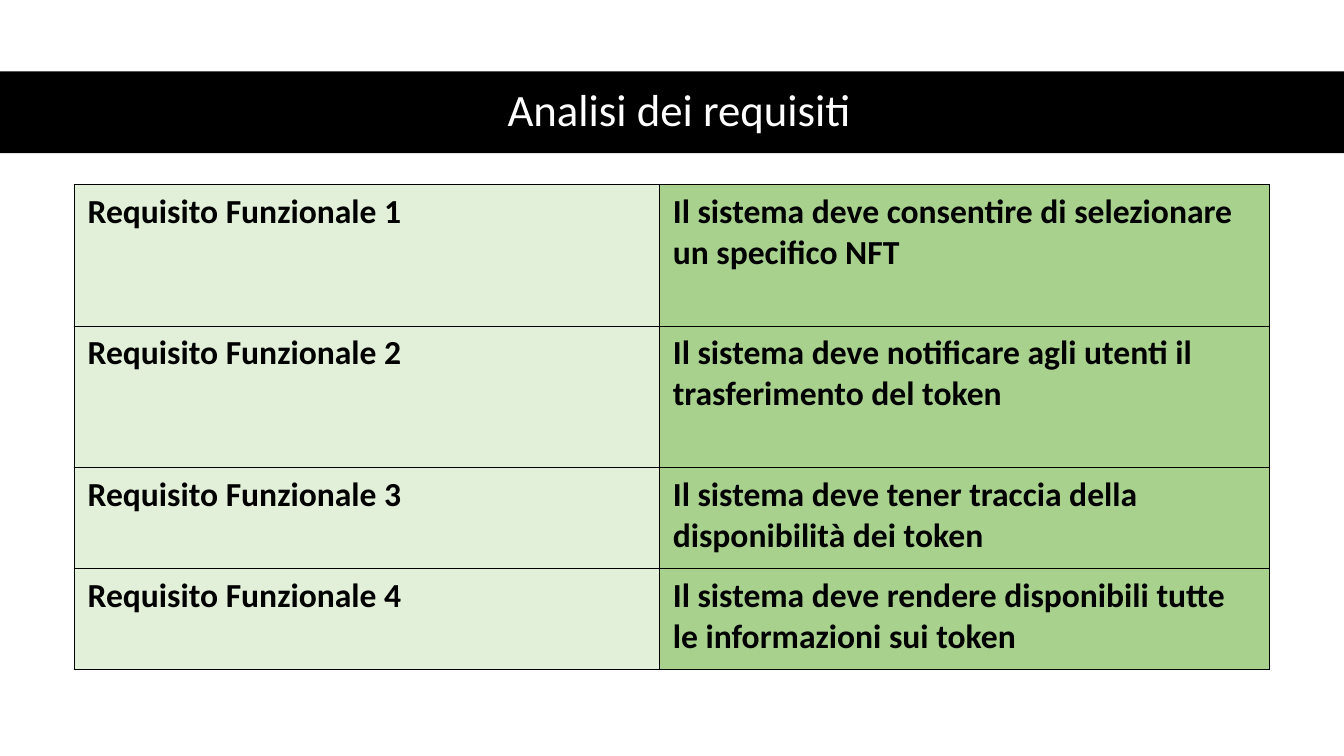
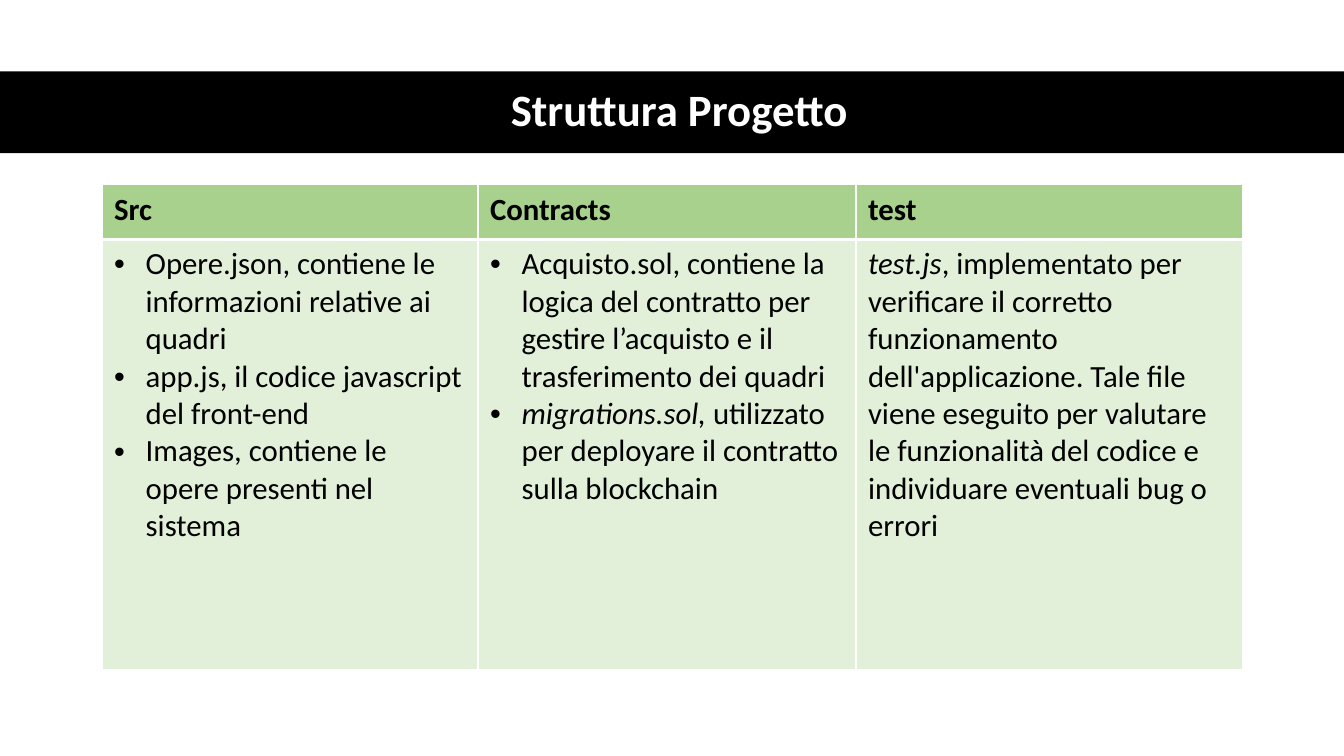
import pptx
import pptx.dml.color
import pptx.enum.shapes
import pptx.enum.text
import pptx.util
from lxml import etree

Pt = pptx.util.Pt
RGBColor = pptx.dml.color.RGBColor
Align = pptx.enum.text.PP_ALIGN

BLACK = RGBColor(0x00, 0x00, 0x00)
WHITE = RGBColor(0xFF, 0xFF, 0xFF)
PALE_GREEN = RGBColor(0xE2, 0xF0, 0xD9)
GREEN = RGBColor(0xA9, 0xD1, 0x8E)

FONT = "Calibri"
SLIDE_WIDTH, SLIDE_HEIGHT = 960, 540
BAND_TOP, BAND_HEIGHT = 51, 58.5
TABLE_TOP = 132
BULLET_INDENT = 22.5
TITLE_ONLY_LAYOUT = 5

REQUIREMENTS = [
    "Il sistema deve consentire di selezionare un specifico NFT",
    "Il sistema deve notificare agli utenti il trasferimento del token",
    "Il sistema deve tener traccia della disponibilità dei token",
    "Il sistema deve rendere disponibili tutte le informazioni sui token",
]

# Each folder has a heading, a bullet flag and paragraphs of (italic, regular) text.
FOLDERS = [
    ("Src", True, [
        ("", "Opere.json, contiene le informazioni relative ai quadri"),
        ("", "app.js, il codice javascript del front-end"),
        ("", "Images, contiene le opere presenti nel sistema"),
    ]),
    ("Contracts", True, [
        ("", "Acquisto.sol, contiene la logica del contratto per gestire "
             "l’acquisto e il trasferimento dei quadri"),
        ("migrations.sol, ", "utilizzato per deployare il contratto sulla blockchain"),
    ]),
    ("test", False, [
        ("test.js", ", implementato per verificare il corretto funzionamento "
                    "dell'applicazione. Tale file viene eseguito per valutare le "
                    "funzionalità del codice e individuare eventuali bug o errori"),
    ]),
]


def add_bullet(paragraph):
    properties = paragraph._p.get_or_add_pPr()
    properties.set("marL", str(Pt(BULLET_INDENT)))
    properties.set("indent", str(-Pt(BULLET_INDENT)))
    for tag, name, value in (("a:buFont", "typeface", "Arial"), ("a:buChar", "char", "•")):
        etree.SubElement(properties, pptx.oxml.ns.qn(tag)).set(name, value)


def write(frame, paragraphs, size, color=BLACK, bold=False, align=Align.LEFT,
          spacing=1.0, bullets=False):
    """Fill a text frame with paragraphs given as (italic, regular) text."""
    frame.word_wrap = True
    for index, parts in enumerate(paragraphs):
        paragraph = frame.add_paragraph() if index else frame.paragraphs[0]
        paragraph.alignment = align
        paragraph.line_spacing = spacing
        if bullets:
            add_bullet(paragraph)
        for text, italic in zip(parts, (True, False)):
            if text:
                run = paragraph.add_run()
                run.text = text
                run.font.name = FONT
                run.font.size = Pt(size)
                run.font.bold = bold
                run.font.italic = italic
                run.font.color.rgb = color


def set_borders(cell, color, **widths):
    """Draw the sides L, R, T and B, 1 pt wide unless a width is given."""
    properties = cell._tc.get_or_add_tcPr()
    for side in "LRTB":
        line = etree.SubElement(properties, pptx.oxml.ns.qn(f"a:ln{side}"))
        line.set("w", str(Pt(widths.get(side, 1))))
        fill = etree.SubElement(line, pptx.oxml.ns.qn("a:solidFill"))
        etree.SubElement(fill, pptx.oxml.ns.qn("a:srgbClr")).set("val", str(color))


def style_cell(cell, fill, border, inset, **widths):
    set_borders(cell, border, **widths)
    cell.fill.solid()
    cell.fill.fore_color.rgb = fill
    cell.margin_left = cell.margin_right = Pt(inset)
    cell.margin_top = cell.margin_bottom = Pt(inset / 2)


def add_grid(slide, left, top, widths, heights):
    frame = slide.shapes.add_table(len(heights), len(widths), Pt(left), Pt(top),
                                   Pt(sum(widths)), Pt(sum(heights)))
    grid = frame.table
    grid.first_row = grid.horz_banding = False
    for column, width in zip(grid.columns, widths):
        column.width = Pt(width)
    for row, height in zip(grid.rows, heights):
        row.height = Pt(height)
    return grid


def add_titled_slide(deck, heading, bold=False):
    slide = deck.slides.add_slide(deck.slide_layouts[TITLE_ONLY_LAYOUT])
    title = slide.shapes.title
    title.left, title.top = Pt(44), Pt(BAND_TOP - 0.5)
    title.width, title.height = Pt(882.5), Pt(BAND_HEIGHT)
    title.text_frame.auto_size = pptx.enum.text.MSO_AUTO_SIZE.NONE
    title.text_frame.vertical_anchor = pptx.enum.text.MSO_ANCHOR.MIDDLE
    write(title.text_frame, [("", heading)], 32, color=WHITE, bold=bold,
          align=Align.CENTER, spacing=0.9)

    band = slide.shapes.add_shape(pptx.enum.shapes.MSO_SHAPE.RECTANGLE, 0, Pt(BAND_TOP),
                                  Pt(SLIDE_WIDTH), Pt(BAND_HEIGHT))
    band.shadow.inherit = False
    band.fill.solid()
    band.fill.fore_color.rgb = BLACK
    band.line.fill.background()
    title._element.addprevious(band._element)
    return slide


def add_requirements(slide, left, top):
    grid = add_grid(slide, left, top, [418, 436], [101, 101, 72, 72])
    for row, requirement in enumerate(REQUIREMENTS):
        label = f"Requisito Funzionale {row + 1}"
        for column, (text, fill) in enumerate([(label, PALE_GREEN), (requirement, GREEN)]):
            cell = grid.cell(row, column)
            style_cell(cell, fill, BLACK, 9.6)
            write(cell.text_frame, [("", text)], 24, bold=True)


def add_folders(slide, left, top):
    grid = add_grid(slide, left, top, [268.5, 270, 276], [39, 307])
    for column, (name, bullets, contents) in enumerate(FOLDERS):
        header, body = grid.cell(0, column), grid.cell(1, column)
        style_cell(header, GREEN, WHITE, 8.6, B=3)
        write(header.text_frame, [("", name)], 22, bold=True)
        style_cell(body, PALE_GREEN, WHITE, 8.6, T=3)
        write(body.text_frame, contents, 22, bullets=bullets)


def main():
    deck = pptx.Presentation()
    deck.slide_width, deck.slide_height = Pt(SLIDE_WIDTH), Pt(SLIDE_HEIGHT)
    add_requirements(add_titled_slide(deck, "Analisi dei requisiti"), 53, TABLE_TOP)
    add_folders(add_titled_slide(deck, "Struttura Progetto", bold=True), 73, TABLE_TOP)
    deck.save("out.pptx")


if __name__ == "__main__":
    main()
